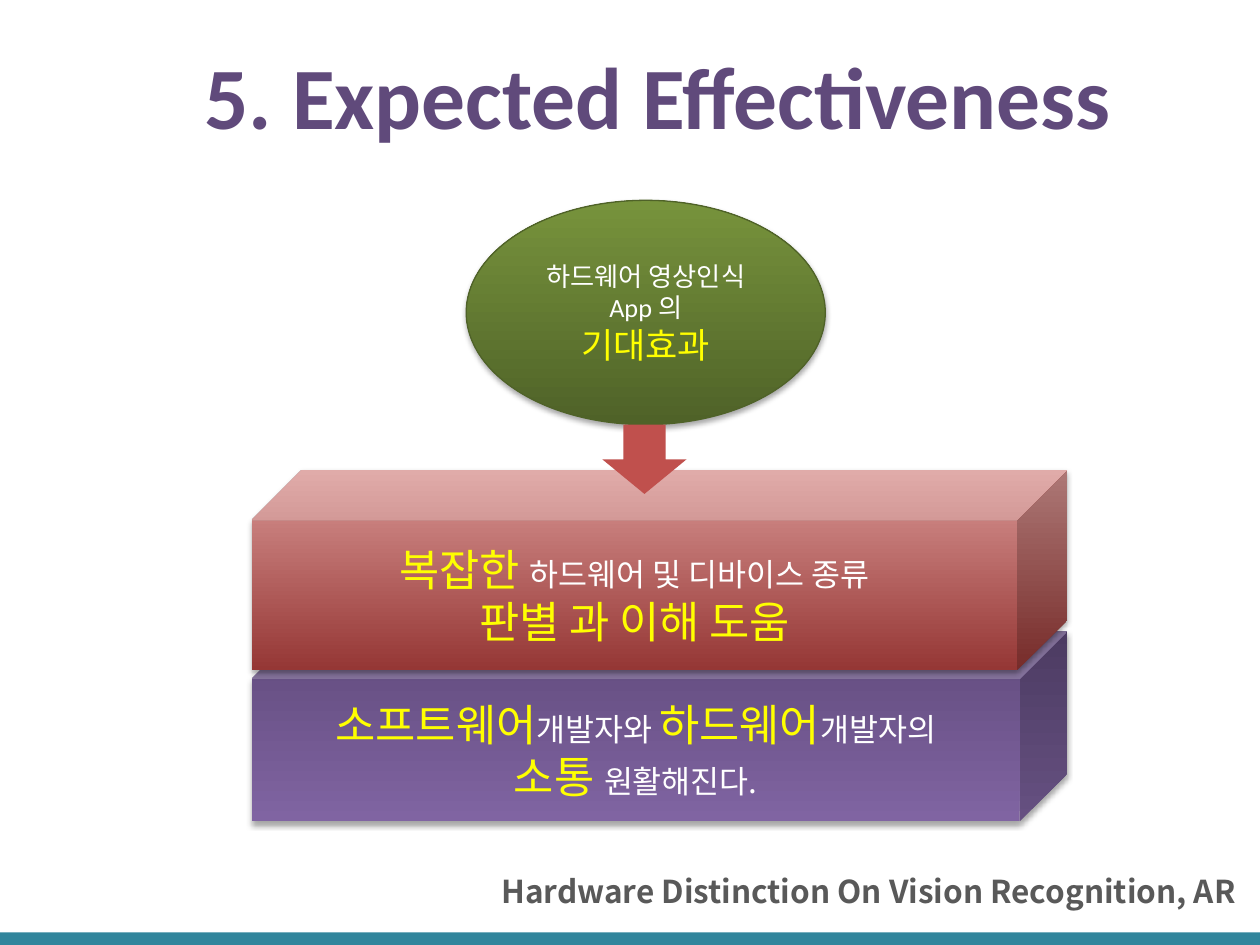
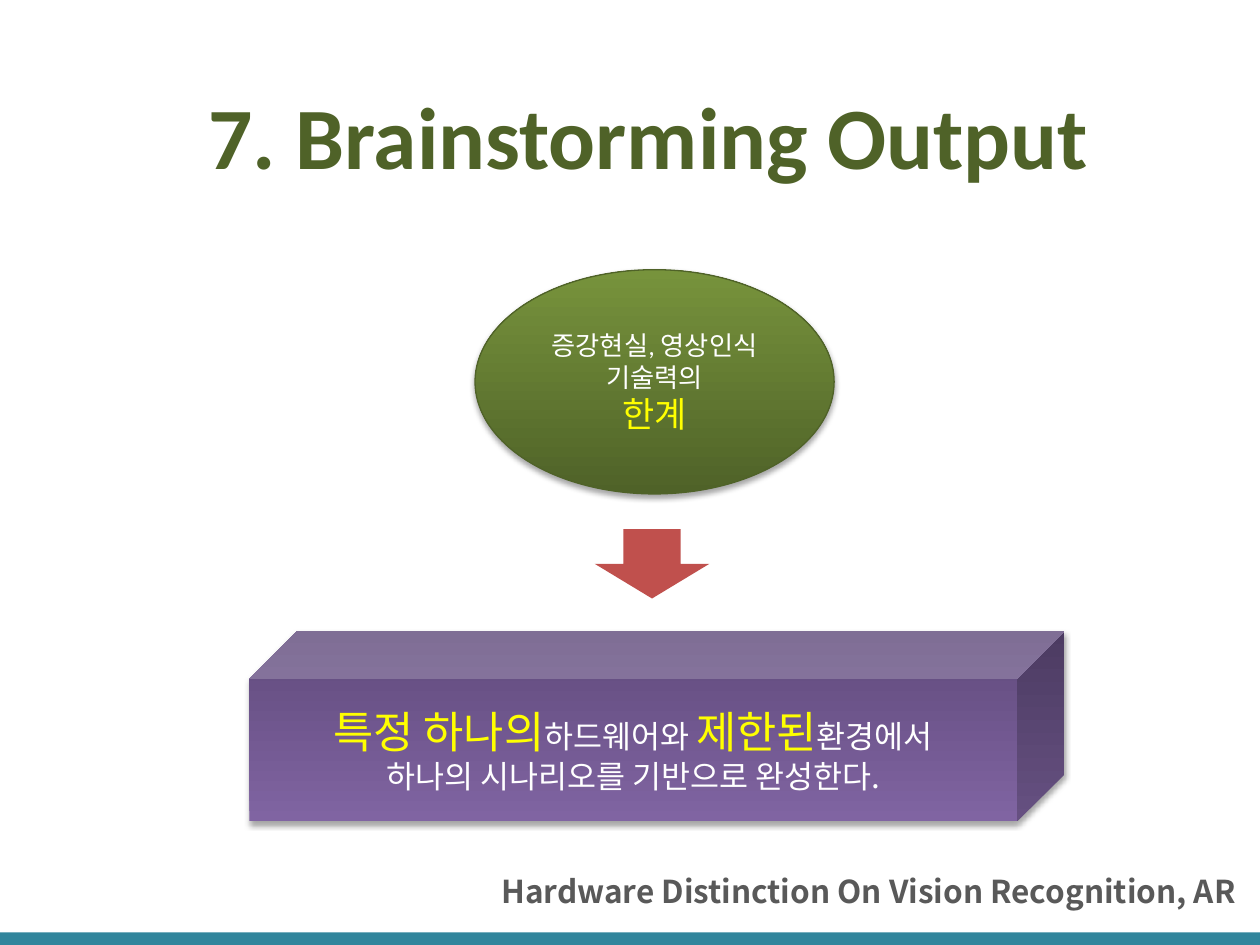
from dataclasses import dataclass

from lxml import etree
from pptx import Presentation
from pptx.dml.color import RGBColor
from pptx.enum.shapes import MSO_SHAPE
from pptx.enum.text import MSO_ANCHOR, MSO_AUTO_SIZE, PP_ALIGN
from pptx.oxml.ns import qn
from pptx.util import Inches, Pt

CUBE, ELLIPSE = MSO_SHAPE.CUBE, MSO_SHAPE.OVAL
ARROW, RECT = MSO_SHAPE.DOWN_ARROW, MSO_SHAPE.RECTANGLE
CENTER, LEFT = PP_ALIGN.CENTER, PP_ALIGN.LEFT
TOP, MIDDLE = MSO_ANCHOR.TOP, MSO_ANCHOR.MIDDLE
NO_AUTOFIT = MSO_AUTO_SIZE.NONE

# The slide is a grid of 100 columns by 75 rows.
SLIDE_W, SLIDE_H = Inches(10), Inches(7.5)
COL, ROW = SLIDE_W / 100, SLIDE_H / 75

LATIN, KOREAN = "Calibri", "Noto Sans CJK KR"
WHITE, YELLOW, GREY = "FFFFFF", "FFFF00", "595959"
TEAL, RED = "31859C", "C0504D"
DARK_GREEN, GREEN = "4F6228", "77933C"
DARK_PURPLE, PURPLE = "604A7B", "8064A2"
DARK_RED, PINK = "953735", "D99694"
FOOTER = "Hardware Distinction On Vision Recognition, AR"
TITLE_LAYOUT = 5

Box = tuple[float, float, float, float]


@dataclass(frozen=True)
class Style:
    shape: int
    bottom: str
    top: str
    size: int
    key_size: int
    font: str
    line: str | None = None


TOPIC = Style(ELLIPSE, DARK_GREEN, GREEN, 15, 20, LATIN, DARK_GREEN)
PURPLE_BLOCK = Style(CUBE, PURPLE, DARK_PURPLE, 18, 25, KOREAN)
RED_BLOCK = Style(CUBE, DARK_RED, PINK, 18, 25, KOREAN)


@dataclass(frozen=True)
class Panel:
    """A shaded shape; text between bars is a key phrase."""
    style: Style
    box: Box
    lines: tuple[str, ...]


@dataclass(frozen=True)
class Page:
    title: str
    title_color: str
    title_box: Box
    panels: tuple[Panel, ...]
    arrow_box: Box


PAGES = (
    Page("5. Expected Effectiveness", DARK_PURPLE, (13.3, 2.8, 77.9, 9.4), (
        Panel(PURPLE_BLOCK, (20, 50.1, 64.7, 15.1),
              ("|소프트웨어|개발자와 |하드웨어|개발자의", "|소통 |원활해진다.")),
        Panel(TOPIC, (37, 15.9, 28.5, 17.8),
              ("하드웨어 영상인식 App 의", "|기대효과|")),
        Panel(RED_BLOCK, (20, 37.3, 64.7, 15.9),
              ("|복잡한 |하드웨어 및 디바이스 종류", "|판별 과 이해 도움|")),
    ), (47.8, 33.7, 6.7, 5.5)),
    Page("7. Brainstorming Output", DARK_GREEN, (14.9, 6, 73.2, 9.4), (
        Panel(PURPLE_BLOCK, (19.8, 50.1, 64.7, 15.1),
              ("|특정 하나의|하드웨어와 |제한된|환경에서",
               "하나의 시나리오를 기반으로 완성한다.")),
        Panel(TOPIC, (37.7, 21.4, 28.5, 17.8),
              ("증강현실, 영상인식", "기술력의", "|한계|")),
    ), (47.2, 42, 9.1, 5.5)),
)


def rgb(value: str) -> RGBColor:
    return RGBColor.from_string(value)


def place(box: Box) -> tuple[int, int, int, int]:
    """Turn grid columns and rows into slide lengths."""
    x, y, w, h = box
    return round(x * COL), round(y * ROW), round(w * COL), round(h * ROW)


def format_run(r, size: int, color: str, font: str, bold: bool = False) -> None:
    r.font.size, r.font.bold, r.font.name = Pt(size), bold, font
    r.font.color.rgb = rgb(color)
    ea = etree.Element(qn("a:ea"), typeface=KOREAN)
    r.font._element.find(qn("a:latin")).addnext(ea)


def write_line(sp, text: str, size: int, color: str, font: str, align) -> None:
    """Fill a shape with one bold line."""
    tf = sp.text_frame
    tf.text = text
    tf.word_wrap, tf.auto_size = True, NO_AUTOFIT
    tf.vertical_anchor = TOP
    p = tf.paragraphs[0]
    p.alignment = align
    format_run(p.runs[0], size, color, font, bold=True)


def add_flat(slide, shape: int, box: Box, color: str) -> None:
    sp = slide.shapes.add_shape(shape, *place(box))
    sp.shadow.inherit = False
    sp.fill.solid()
    sp.fill.fore_color.rgb = rgb(color)
    sp.line.fill.background()


def add_soft_shadow(sp) -> None:
    sp.shadow.inherit = False
    effects = sp._element.spPr.find(qn("a:effectLst"))
    shadow = etree.SubElement(
        effects, qn("a:outerShdw"), blurRad=str(Pt(3.1)), dist=str(Pt(1.8)),
        dir="5400000", rotWithShape="0")
    color = etree.SubElement(shadow, qn("a:srgbClr"), val="000000")
    etree.SubElement(color, qn("a:alpha"), val="35000")


def add_panel(slide, panel: Panel) -> None:
    style = panel.style
    sp = slide.shapes.add_shape(style.shape, *place(panel.box))
    sp.fill.gradient()
    sp.fill.gradient_angle = 90
    for stop, color in zip(sp.fill.gradient_stops, (style.bottom, style.top)):
        stop.color.rgb = rgb(color)
    if style.line:
        sp.line.color.rgb = rgb(style.line)
        sp.line.width = Pt(0.75)
    else:
        sp.line.fill.background()
    add_soft_shadow(sp)

    tf = sp.text_frame
    tf.word_wrap, tf.vertical_anchor = True, MIDDLE
    for i, line in enumerate(panel.lines):
        p = tf.add_paragraph() if i else tf.paragraphs[0]
        p.alignment = CENTER
        for j, text in enumerate(line.split("|")):
            if not text:
                continue
            r = p.add_run()
            r.text = text
            size, color = (style.key_size, YELLOW) if j % 2 else (style.size, WHITE)
            format_run(r, size, color, style.font)


def add_footer(slide) -> None:
    add_flat(slide, RECT, (0, 74, 100, 1.3), TEAL)
    sp = slide.shapes.add_textbox(*place((38.8, 68.7, 61.2, 4)))
    write_line(sp, FOOTER, 18, GREY, KOREAN, LEFT)


def add_page(prs, page: Page) -> None:
    slide = prs.slides.add_slide(prs.slide_layouts[TITLE_LAYOUT])
    title = slide.shapes.title
    title.left, title.top, title.width, title.height = place(page.title_box)
    write_line(title, page.title, 50, page.title_color, LATIN, CENTER)
    add_footer(slide)
    for panel in page.panels:
        add_panel(slide, panel)
    add_flat(slide, ARROW, page.arrow_box, RED)


def main() -> None:
    prs = Presentation()
    prs.slide_width, prs.slide_height = SLIDE_W, SLIDE_H
    for page in PAGES:
        add_page(prs, page)
    prs.save("out.pptx")


if __name__ == "__main__":
    main()
